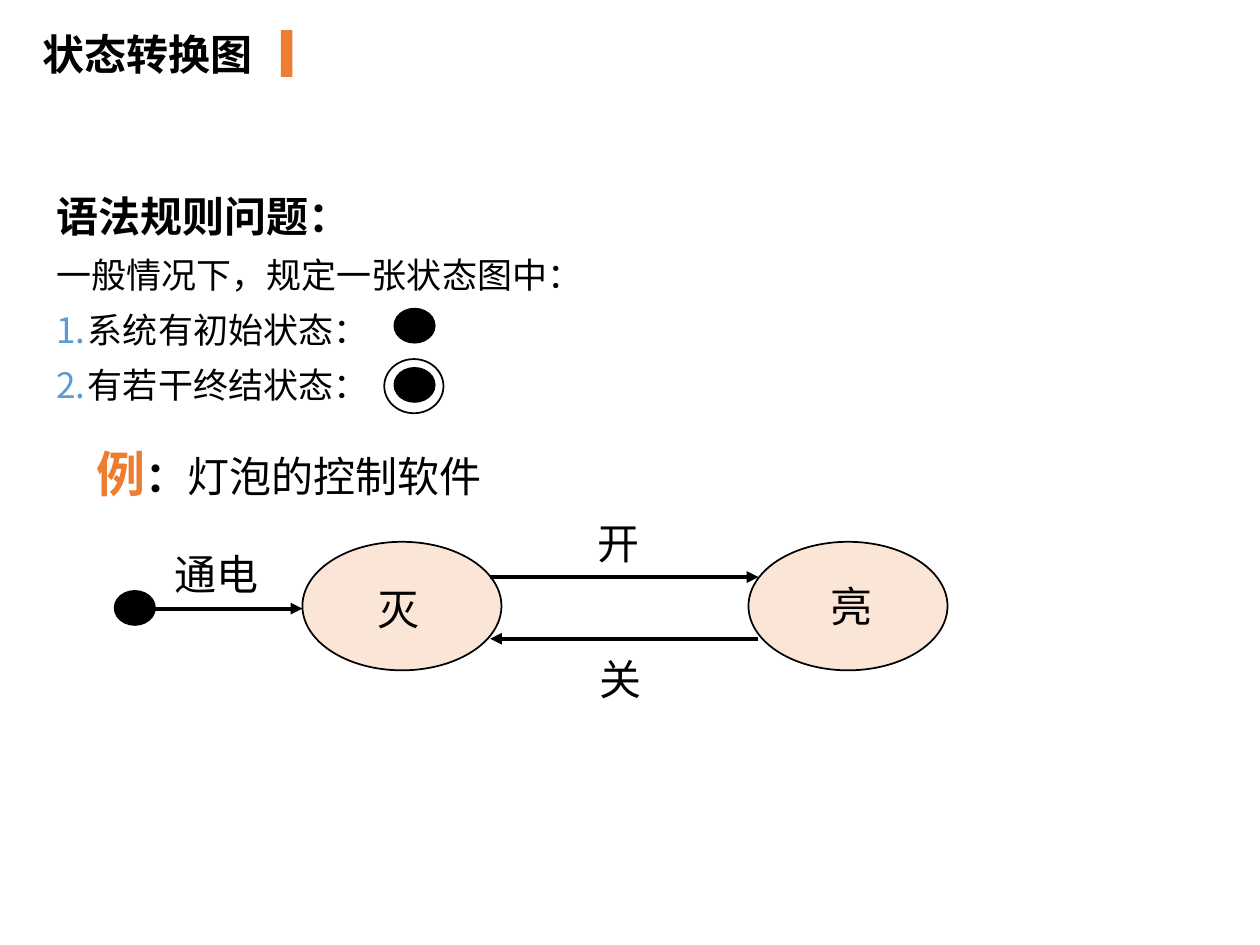
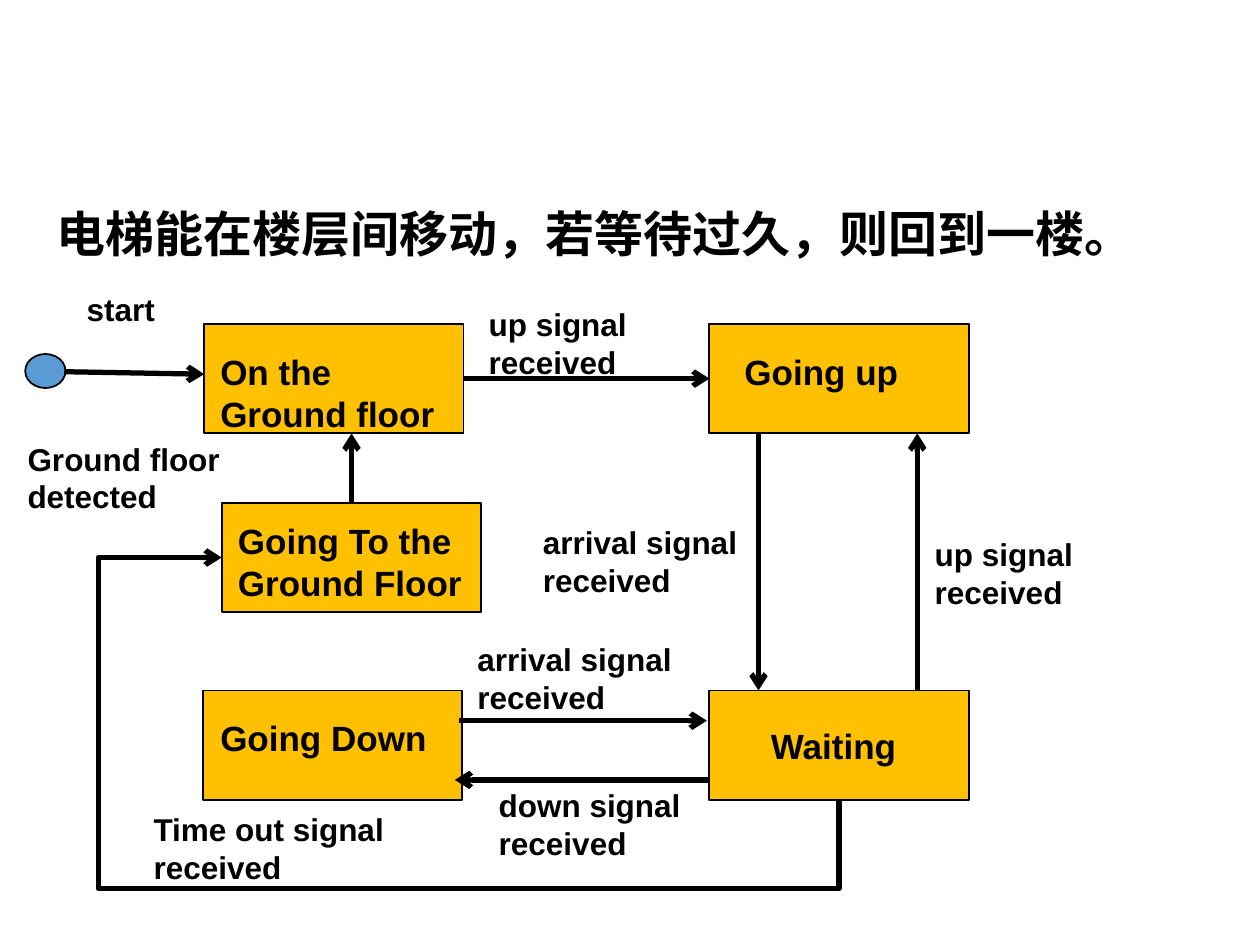
from dataclasses import dataclass
from typing import Any

from lxml import etree
from pptx import Presentation
from pptx.dml.color import RGBColor
from pptx.enum.shapes import MSO_CONNECTOR, MSO_SHAPE
from pptx.enum.text import MSO_ANCHOR, MSO_AUTO_SIZE, PP_ALIGN
from pptx.oxml.ns import qn
from pptx.util import Emu, Pt

RECTANGLE, ELLIPSE = MSO_SHAPE.RECTANGLE, MSO_SHAPE.OVAL
STRAIGHT, ELBOW = MSO_CONNECTOR.STRAIGHT, MSO_CONNECTOR.ELBOW
LEFT_ALIGN, TOP_ANCHOR = PP_ALIGN.LEFT, MSO_ANCHOR.TOP
NO_AUTOSIZE = MSO_AUTO_SIZE.NONE
TOP, LEFT, BOTTOM, RIGHT = range(4)

EMU_PER_PX = 9144  # 100 px to the inch
TITLE_ONLY = 5


@dataclass(frozen=True)
class Theme:
    ink: str = "000000"
    orange: str = "ED7D31"
    blue: str = "5B9BD5"
    peach: str = "FBE5D6"
    amber: str = "FFC000"
    chinese: str = "Noto Sans CJK SC"
    latin: str = "Arial"
    headline: str = "Karla"
    large: int = 28
    heading: int = 24
    body: int = 20
    caption: int = 18


THEME = Theme()


def px(length):
    return Emu(round(length * EMU_PER_PX))


def rgb(color):
    return RGBColor.from_string(color)


def write(paragraph, text, size=THEME.heading, color=THEME.ink, bold=False,
          font=THEME.chinese):
    """Add a formatted run; Chinese glyphs always use the Chinese font."""
    run = paragraph.add_run()
    run.text = text
    run.font.size, run.font.bold, run.font.name = Pt(size), bold, font
    run.font.color.rgb = rgb(color)
    properties = run.font._element
    etree.SubElement(properties, qn("a:ea"), typeface=THEME.chinese)


def number(paragraph, color):
    """Give the paragraph an automatic number in the given colour."""
    properties = paragraph._p.get_or_add_pPr()
    bullet_color = etree.SubElement(properties, qn("a:buClr"))
    etree.SubElement(bullet_color, qn("a:srgbClr"), val=color)
    etree.SubElement(properties, qn("a:buAutoNum"), type="arabicPeriod")


def hang(paragraph, indent):
    properties = paragraph._p.get_or_add_pPr()
    properties.set("marL", str(px(indent)))
    properties.set("indent", str(-px(indent)))


@dataclass
class SlideBuilder:
    presentation: Any
    theme: Theme
    slide: Any = None

    def new_slide(self):
        layout = self.presentation.slide_layouts[TITLE_ONLY]
        self.slide = self.presentation.slides.add_slide(layout)

    def title(self, text, left, top, width, height, line_spacing=1.0, **style):
        shape = self.slide.shapes.title
        shape.left, shape.top = px(left), px(top)
        shape.width, shape.height = px(width), px(height)
        frame = shape.text_frame
        frame.word_wrap, frame.auto_size = True, NO_AUTOSIZE
        frame.vertical_anchor = TOP_ANCHOR
        paragraph = frame.paragraphs[0]
        paragraph.alignment, paragraph.line_spacing = LEFT_ALIGN, line_spacing
        paragraph.space_before = Pt(0)
        write(paragraph, text, bold=True, **style)

    def text_box(self, left, top, width, height):
        box = self.slide.shapes.add_textbox(px(left), px(top), px(width), px(height))
        box.text_frame.word_wrap = True
        return box.text_frame

    def label(self, text, left, top, width, height, **style):
        frame = self.text_box(left, top, width, height)
        write(frame.paragraphs[0], text, **style)

    def shape(self, kind, left, top, width, height, fill=None, outlined=True):
        shape = self.slide.shapes.add_shape(
            kind, px(left), px(top), px(width), px(height))
        shape.shadow.inherit = False
        if fill:
            shape.fill.solid()
            shape.fill.fore_color.rgb = rgb(fill)
        else:
            shape.fill.background()
        if outlined:
            shape.line.color.rgb = rgb(self.theme.ink)
            shape.line.width = Pt(1)
        else:
            shape.line.fill.background()
        return shape

    def dot(self, left, top, fill):
        return self.shape(ELLIPSE, left, top, 32, 27, fill)

    def arrow(self, begin, end, weight=3, head="arrow", kind=STRAIGHT,
              begin_at=None, end_at=None):
        """Draw an arrow; begin_at and end_at are (shape, side) to join."""
        connector = self.slide.shapes.add_connector(
            kind, *map(px, begin), *map(px, end))
        if begin_at:
            connector.begin_connect(*begin_at)
        if end_at:
            connector.end_connect(*end_at)
        connector.line.color.rgb = rgb(self.theme.ink)
        connector.line.width = Pt(weight)
        properties = connector._element.spPr
        line = properties.find(qn("a:ln"))
        etree.SubElement(line, qn("a:tailEnd"), type=head)
        etree.SubElement(properties, qn("a:effectLst"))
        return connector

    def detour(self, source, target, lowest, leftmost):
        """Run from the source's bottom, round below, to the target's left side."""
        begin_x, begin_y = source.left + source.width // 2, source.top + source.height
        end_x, end_y = target.left, target.top + target.height // 2
        connector = self.arrow((0, 0), (1, 1), kind=ELBOW,
                               begin_at=(source, BOTTOM), end_at=(target, LEFT))
        # The route is a quarter turn of a mirrored four-part elbow.
        width, height = begin_y - end_y, begin_x - end_x
        connector.left = (begin_x + end_x - width) // 2
        connector.top = (begin_y + end_y - height) // 2
        connector.width, connector.height = width, height
        properties = connector._element.spPr
        frame = properties.find(qn("a:xfrm"))
        frame.attrib.pop("flipV", None)
        frame.set("rot", "5400000")
        frame.set("flipH", "1")
        geometry = properties.find(qn("a:prstGeom"))
        geometry.set("prst", "bentConnector4")
        adjustments = geometry.find(qn("a:avLst"))
        if adjustments is None:
            adjustments = etree.SubElement(geometry, qn("a:avLst"))
        ratios = ((begin_y - px(lowest)) / width, (begin_x - px(leftmost)) / height)
        for index, ratio in enumerate(ratios, 1):
            etree.SubElement(adjustments, qn("a:gd"), name=f"adj{index}",
                             fmla=f"val {round(ratio * 100000)}")


def build_bulb_slide(builder):
    theme = builder.theme
    builder.new_slide()
    builder.title("状态转换图", 24, 18, 452, 50)
    builder.shape(RECTANGLE, 223, 24, 9, 37, theme.orange, outlined=False)

    rules = builder.text_box(35, 134, 920, 452)
    heading = rules.paragraphs[0]
    heading.line_spacing = 1.3
    write(heading, "语法规则问题：", bold=True)
    for text, numbered in (("一般情况下，规定一张状态图中：", False),
                           ("系统有初始状态：", True),
                           ("有若干终结状态：", True)):
        paragraph = rules.add_paragraph()
        paragraph.line_spacing, paragraph.space_before = 0.9, Pt(10)
        hang(paragraph, 25)
        if numbered:
            number(paragraph, theme.blue)
        write(paragraph, text, size=theme.body)
    for left, top in ((313, 245), (313, 292), (91, 469)):
        builder.dot(left, top, theme.ink)
    builder.shape(ELLIPSE, 305, 285, 47, 43)

    example = builder.text_box(67, 347, 581, 57).paragraphs[0]
    write(example, "例", size=theme.large, color=theme.orange, bold=True)
    write(example, "：", bold=True)
    write(example, "灯泡的控制软件")

    for left in (240, 594):
        builder.shape(ELLIPSE, left, 430, 158, 102, theme.peach)
    for begin, end in (((389, 458), (602, 458)),
                       ((602, 507), (389, 507)),
                       ((123, 483), (240, 483))):
        builder.arrow(begin, end, weight=2.25, head="triangle")
    for text, left, top, width in (("灭", 290, 458, 63), ("亮", 649, 456, 63),
                                   ("开", 464, 406, 63), ("关", 466, 514, 63),
                                   ("通电", 129, 430, 115)):
        builder.label(text, left, top, width, 51)


def build_elevator_slide(builder):
    theme = builder.theme
    builder.new_slide()
    builder.title("电梯能在楼层间移动，若等待过久，则回到一楼。", 35, 162, 906, 63,
                  line_spacing=0.9, size=theme.large, font=theme.headline)

    ground, going_up, going_down, waiting, to_ground = (
        builder.shape(RECTANGLE, left, top, 206, 87, theme.amber)
        for left, top in ((162, 257), (563, 257), (161, 548), (563, 548), (176, 399)))
    for text, left, top, width, height in (
            ("On the Ground floor", 165, 273, 197, 77),
            ("Going up", 581, 273, 169, 44),
            ("Going Down", 165, 564, 197, 44),
            ("Waiting", 602, 570, 124, 44),
            ("Going To the Ground Floor", 179, 407, 201, 77)):
        builder.label(text, left, top, width, height,
                      size=theme.body, bold=True, font=theme.latin)

    builder.dot(20, 281, theme.blue)
    builder.arrow((51, 295), (162, 297))
    builder.arrow((368, 300), (563, 300),
                  begin_at=(ground, RIGHT), end_at=(going_up, LEFT))
    builder.arrow((279, 399), (279, 344), begin_at=(to_ground, TOP))
    for begin, end in (((602, 344), (602, 548)), ((728, 548), (728, 344)),
                       ((364, 572), (561, 572)), ((563, 619), (361, 619))):
        builder.arrow(begin, end)
    builder.detour(waiting, to_ground, lowest=705, leftmost=78)

    for text, left, top, width in (
            ("start", 59, 225, 87),
            ("up signal received", 378, 237, 173),
            ("arrival signal received", 421, 410, 181),
            ("up signal received", 732, 420, 173),
            ("arrival signal received", 369, 503, 181),
            ("down signal received", 386, 619, 190),
            ("Time out signal received", 112, 638, 249),
            ("Ground floor detected", 12, 344, 249)):
        builder.label(text, left, top, width, 71,
                      size=theme.caption, bold=True, font=theme.latin)


def main():
    presentation = Presentation()
    presentation.slide_width, presentation.slide_height = px(1000), px(750)
    builder = SlideBuilder(presentation, THEME)
    build_bulb_slide(builder)
    build_elevator_slide(builder)
    presentation.save("out.pptx")


if __name__ == "__main__":
    main()
